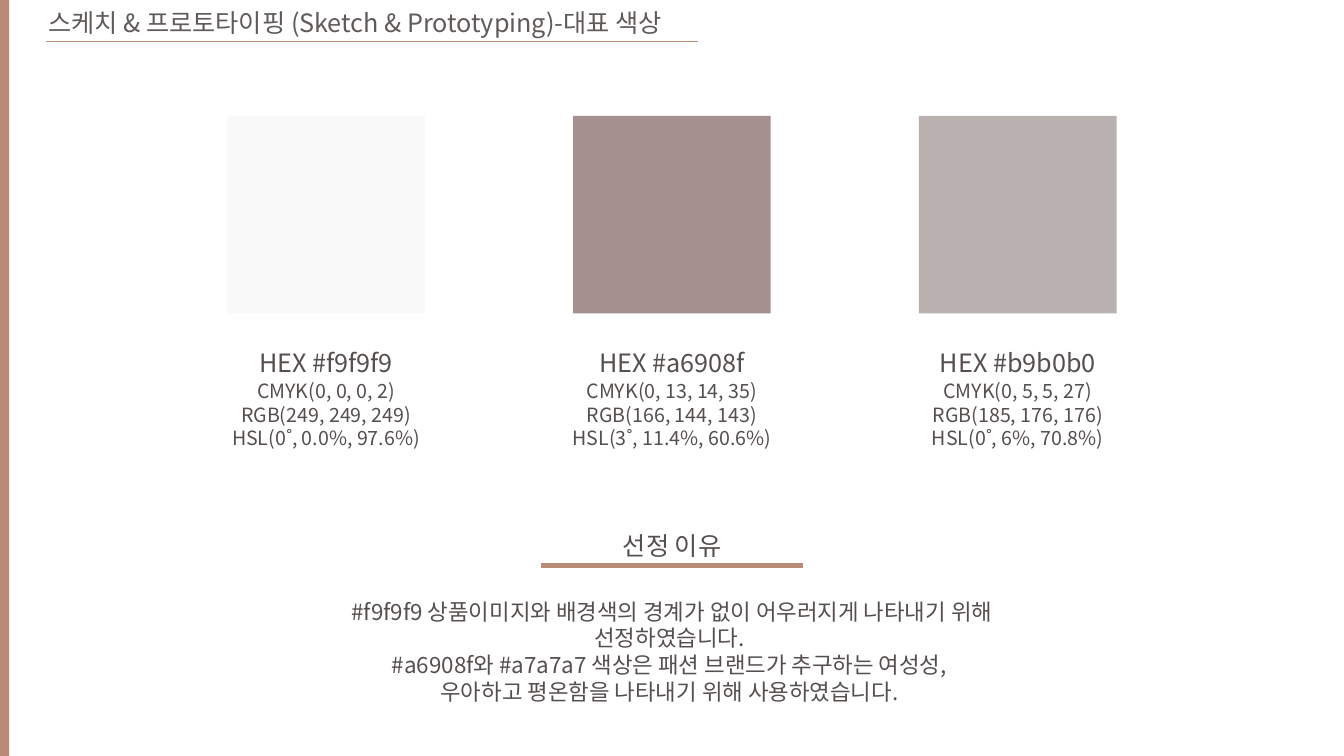
from lxml.etree import SubElement
from pptx import Presentation
from pptx.dml.color import RGBColor
from pptx.enum.shapes import MSO_CONNECTOR, MSO_SHAPE
from pptx.enum.text import PP_ALIGN
from pptx.oxml.ns import qn
from pptx.util import Inches, Pt

TITLE = "스케치 & 프로토타이핑 (Sketch & Prototyping)-대표 색상"
SWATCHES = [
    ("f9f9f9", ["CMYK(0, 0, 0, 2)", "RGB(249, 249, 249)", "HSL(0˚, 0.0%, 97.6%)"]),
    ("a6908f", ["CMYK(0, 13, 14, 35)", "RGB(166, 144, 143)", "HSL(3˚, 11.4%, 60.6%)"]),
    ("b9b0b0", ["CMYK(0, 5, 5, 27)", "RGB(185, 176, 176)", "HSL(0˚, 6%, 70.8%)"]),
]
HEAD = "선정 이유"
REASON = [
    "#f9f9f9 상품이미지와 배경색의 경계가 없이 어우러지게 나타내기 위해 선정하였습니다. ",
    "#a6908f와 #a7a7a7 색상은 패션 브랜드가 추구하는 여성성, ",
    "우아하고 평온함을 나타내기 위해 사용하였습니다. ",
]
COLORS = {"accent": "B98A76", "title": "605A58", "text": "554F4D"}
FONT = "Noto Sans CJK KR"
WIDE, HIGH = 13.33, 7.5
MID = WIDE / 2
PITCH = 3.43  # distance between swatch centres
SIDE = 1.96

deck = Presentation()
deck.slide_width, deck.slide_height = Inches(WIDE), Inches(HIGH)
slide = deck.slides.add_slide(deck.slide_layouts[6])
shapes = slide.shapes


def paint(left, top, wide, high, color):
    """Add a plain filled rectangle."""
    box = shapes.add_shape(MSO_SHAPE.RECTANGLE, *map(Inches, (left, top, wide, high)))
    box.shadow.inherit = False
    box.fill.solid()
    box.fill.fore_color.rgb = RGBColor.from_string(color.upper())
    box.line.fill.background()


def write(lines, left, top, wide, high, size, color="text", align=PP_ALIGN.CENTER):
    frame = shapes.add_textbox(*map(Inches, (left, top, wide, high))).text_frame
    frame.word_wrap = True
    frame.text = "\n".join(lines)
    for para in frame.paragraphs:
        para.alignment = align
        para.font.size = Pt(size)
        para.font.color.rgb = RGBColor.from_string(COLORS[color])
        para.font.name = FONT
        props = para._p.pPr.find(qn("a:defRPr"))
        SubElement(props, qn("a:ea")).set("typeface", FONT)


def rule(left, right, top, width):
    """Add a level accent line."""
    line = shapes.add_connector(
        MSO_CONNECTOR.STRAIGHT, *map(Inches, (left, top, right, top)))
    line.line.color.rgb = RGBColor.from_string(COLORS["accent"])
    line.line.width = Pt(width)
    SubElement(line._element.spPr, qn("a:effectLst"))


write([TITLE], 0.38, 0.02, 7.18, 0.4, 18, "title", PP_ALIGN.LEFT)
rule(0.46, 6.92, 0.41, 0.5)
paint(0, 0, 0.09, HIGH, COLORS["accent"])

for col, (code, values) in enumerate(SWATCHES):
    center = MID + (col - 1) * PITCH
    paint(center - SIDE / 2, 1.15, SIDE, SIDE, code)
    write([f"HEX #{code}"], center - 0.91, 3.4, 1.82, 0.4, 18)
    write(values, center - 1.27, 3.71, 2.54, 0.81, 14)

write([HEAD], MID - 0.91, 5.21, 1.82, 0.4, 18)
rule(MID - 1.3, MID + 1.3, 5.61, 3)
write(REASON, MID - 3.98, 5.88, 7.96, 0.91, 16)

deck.save("out.pptx")
